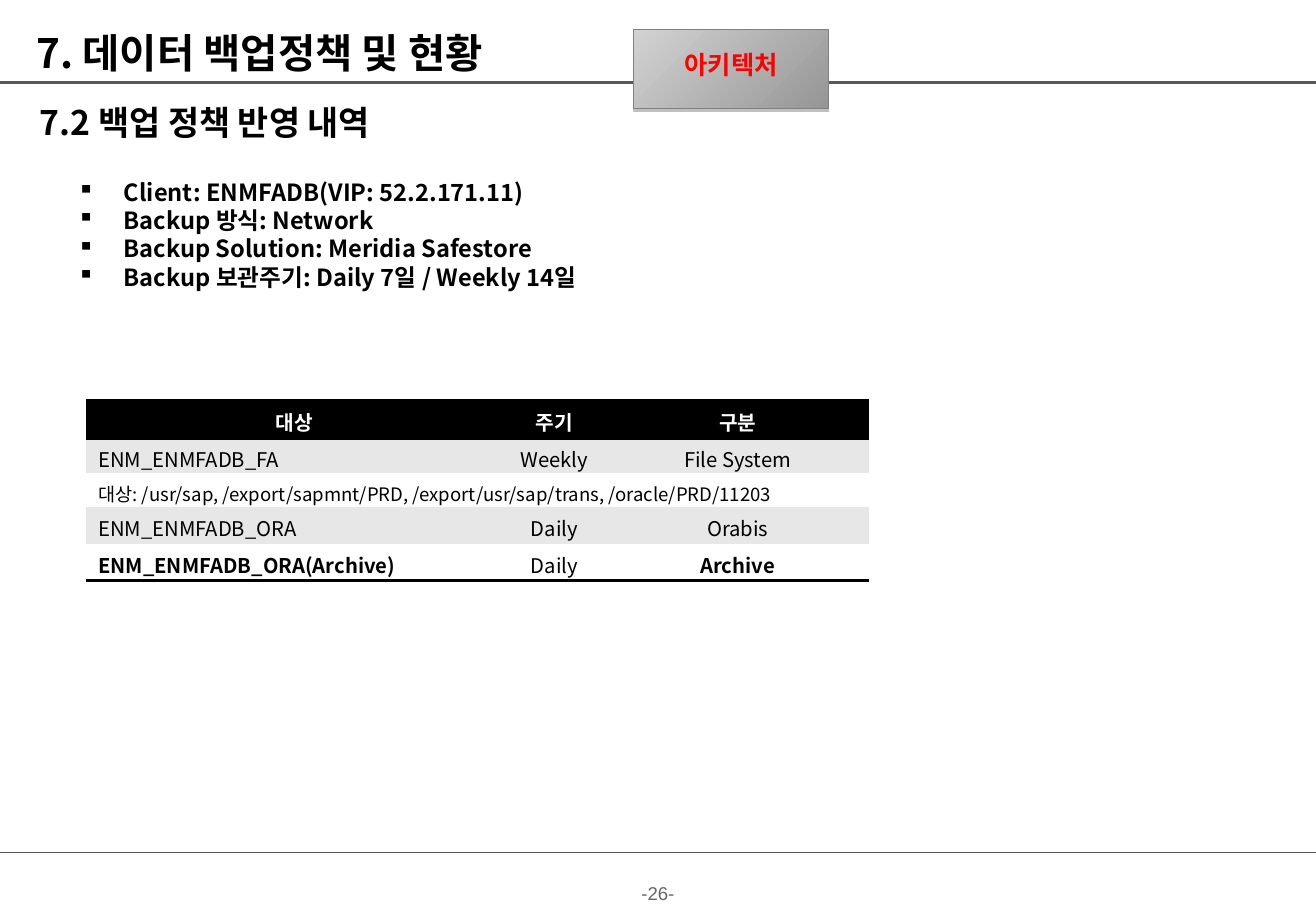
from lxml import etree
from pptx import Presentation
from pptx import util as u
from pptx.dml.color import RGBColor
from pptx.enum import shapes, text
from pptx.oxml import parse_xml
from pptx.oxml.ns import nsdecls, qn

TITLE = "7. 데이터 백업정책 및 현황"
SUBTITLE = "7.2 백업 정책 반영 내역"
BADGE = "아키텍처"
PAGE_NUMBER = "-26-"
POLICIES = [
    "Client: ENMFADB(VIP: 52.2.171.11)",
    "Backup 방식: Network",
    "Backup Solution: Meridia Safestore",
    "Backup 보관주기: Daily 7일 / Weekly 14일",
]
# Each row: height in cm, cell texts, columns in bold
TARGETS = [
    (0.81, ["대상", "주기", "구분"], {0, 1, 2}),
    (0.72, ["ENM_ENMFADB_FA", "Weekly", "File System"], set()),
    (0.71, ["대상: /usr/sap, /export/sapmnt/PRD, /export/usr/sap/trans, "
            "/oracle/PRD/11203"], set()),
    (0.76, ["ENM_ENMFADB_ORA", "Daily", "Orabis"], set()),
    (0.76, ["ENM_ENMFADB_ORA(Archive)", "Daily", "Archive"], {0, 2}),
]
COLUMN_WIDTHS = [8.71, 2.16, 5.5]

PAGE_WIDTH, PAGE_HEIGHT = 27.51, 19.05
THEME = {
    "font": "Noto Sans CJK KR", "footer font": "Arial",
    "title": 24, "subtitle": 20, "badge": 15, "policy": 14,
    "cell": 12, "paths": 11, "footer": 11,
    "ink": "000000", "paper": "FFFFFF", "band": "E7E7E7", "rule": "595959",
    "alert": "FF0000", "page": "666666", "badge line": "808080",
    "badge start": "D2D2D2", "badge end": "969696", "badge shadow": "C0C0C0",
}
NO_TABLE_STYLE = "{2D5ABB26-0587-4C30-8999-92F81FD0307C}"
MIDDLE = text.MSO_ANCHOR.MIDDLE
CENTER = text.PP_ALIGN.CENTER


def color(name):
    return RGBColor.from_string(THEME[name])


def write(para, words, size="cell", ink="ink", font="font", bold=False, align=None):
    span = para.add_run()
    span.text = words
    span.font.size = u.Pt(THEME[size])
    span.font.bold = bold
    span.font.color.rgb = color(ink)
    span.font.name = THEME[font]
    east_asian = etree.SubElement(span.font._element, qn("a:ea"))
    east_asian.set("typeface", THEME[font])
    para.alignment = align


def set_frame(frame, side=0.0, end=0.13, wrap=True, anchor=MIDDLE):
    frame.word_wrap = wrap
    frame.vertical_anchor = anchor
    frame.margin_left = frame.margin_right = u.Cm(side)
    frame.margin_top = frame.margin_bottom = u.Cm(end)
    return frame


def add_box(page, left, top, width, height, **frame_format):
    box = page.shapes.add_textbox(u.Cm(left), u.Cm(top), u.Cm(width), u.Cm(height))
    return set_frame(box.text_frame, **frame_format)


def add_rule(page, top, weight):
    rule = page.shapes.add_connector(
        shapes.MSO_CONNECTOR.STRAIGHT, 0, u.Cm(top), u.Cm(PAGE_WIDTH), u.Cm(top))
    rule.line.color.rgb = color("rule")
    rule.line.width = u.Pt(weight)
    etree.SubElement(rule._element.spPr, qn("a:effectLst"))


def add_policies(page):
    frame = add_box(page, 1.37, 3.66, 24.9, 4.19, side=0.25,
                    anchor=text.MSO_ANCHOR.TOP)
    for index, policy in enumerate(POLICIES):
        para = frame.add_paragraph() if index else frame.paragraphs[0]
        properties = para._p.get_or_add_pPr()
        properties.set("marL", str(u.Cm(0.97)))
        properties.set("indent", str(u.Cm(-0.97)))
        etree.SubElement(properties, qn("a:buChar")).set("char", "▪")
        para.line_spacing = 0.88
        if index:
            para.space_before = u.Pt(2)
        write(para, policy, size="policy", bold=True)


def add_border(cell, tag, position):
    cell._tc.get_or_add_tcPr().insert(position, parse_xml(
        f'<a:{tag} {nsdecls("a")} w="{u.Pt(2)}"><a:solidFill>'
        f'<a:srgbClr val="{THEME["ink"]}"/></a:solidFill></a:{tag}>'))


def add_targets(page):
    holder = page.shapes.add_table(
        len(TARGETS), len(COLUMN_WIDTHS), u.Cm(1.8), u.Cm(8.37),
        u.Cm(sum(COLUMN_WIDTHS)), u.Cm(sum(row[0] for row in TARGETS)))
    table = holder.table
    table.first_row = table.horz_banding = False
    table._tbl.tblPr.find(qn("a:tableStyleId")).text = NO_TABLE_STYLE
    for column, width in zip(table.columns, COLUMN_WIDTHS):
        column.width = u.Cm(width)

    last = len(TARGETS) - 1
    for row, (height, words, bold_columns) in enumerate(TARGETS):
        table.rows[row].height = u.Cm(height)
        merged = len(words) == 1
        if merged:
            table.cell(row, 0).merge(table.cell(row, len(COLUMN_WIDTHS) - 1))
        header = row == 0
        fill = "ink" if header else "band" if row % 2 else "paper"
        for column, label in enumerate(words):
            cell = table.cell(row, column)
            cell.fill.solid()
            cell.fill.fore_color.rgb = color(fill)
            cell.vertical_anchor = MIDDLE
            cell.margin_top, cell.margin_bottom = u.Cm(0.1), 0
            write(cell.text_frame.paragraphs[0], label,
                  size="paths" if merged else "cell",
                  ink="paper" if header else "ink",
                  bold=column in bold_columns,
                  align=CENTER if header or column else None)
            if header:
                add_border(cell, "lnT", 0)
            if header or row == last:
                add_border(cell, "lnB", 1 if header else 0)


def add_badge(page):
    badge = page.shapes.add_shape(
        shapes.MSO_SHAPE.RECTANGLE, u.Cm(13.25), u.Cm(0.62), u.Cm(4.07), u.Cm(1.65))
    badge.fill.gradient()
    badge.fill.gradient_angle = 315
    stops = badge.fill.gradient_stops
    for stop, position, name in zip(stops, (0, 1), ("badge start", "badge end")):
        stop.position = position
        stop.color.rgb = color(name)
    badge.line.color.rgb = color("badge line")
    badge.line.width = u.Pt(0.75)
    badge.shadow.inherit = False
    badge._element.spPr.find(qn("a:effectLst")).append(parse_xml(
        f'<a:outerShdw {nsdecls("a")} dist="{u.Pt(2)}" dir="5400000" '
        f'algn="ctr" rotWithShape="0">'
        f'<a:srgbClr val="{THEME["badge shadow"]}"/></a:outerShdw>'))
    para = set_frame(badge.text_frame).paragraphs[0]
    para.line_spacing = u.Pt(13)
    write(para, BADGE, size="badge", ink="alert", bold=True, align=CENTER)


def main():
    deck = Presentation()
    deck.slide_width, deck.slide_height = u.Cm(PAGE_WIDTH), u.Cm(PAGE_HEIGHT)
    page = deck.slides.add_slide(deck.slide_layouts[6])

    add_rule(page, 1.72, 2)
    add_rule(page, 17.83, 0.25)
    footer = add_box(page, 13.35, 18.44, 0.81, 0.48, end=0, wrap=False)
    write(footer.paragraphs[0], PAGE_NUMBER, size="footer", ink="page",
          font="footer font", align=CENTER)
    add_policies(page)
    add_targets(page)
    for words, size, left, top in ((SUBTITLE, "subtitle", 0.83, 1.96),
                                   (TITLE, "title", 0.76, 0.5)):
        heading = add_box(page, left, top, 25.98, 1.17)
        write(heading.paragraphs[0], words, size=size, bold=True)
    add_badge(page)
    deck.save("out.pptx")


if __name__ == "__main__":
    main()
